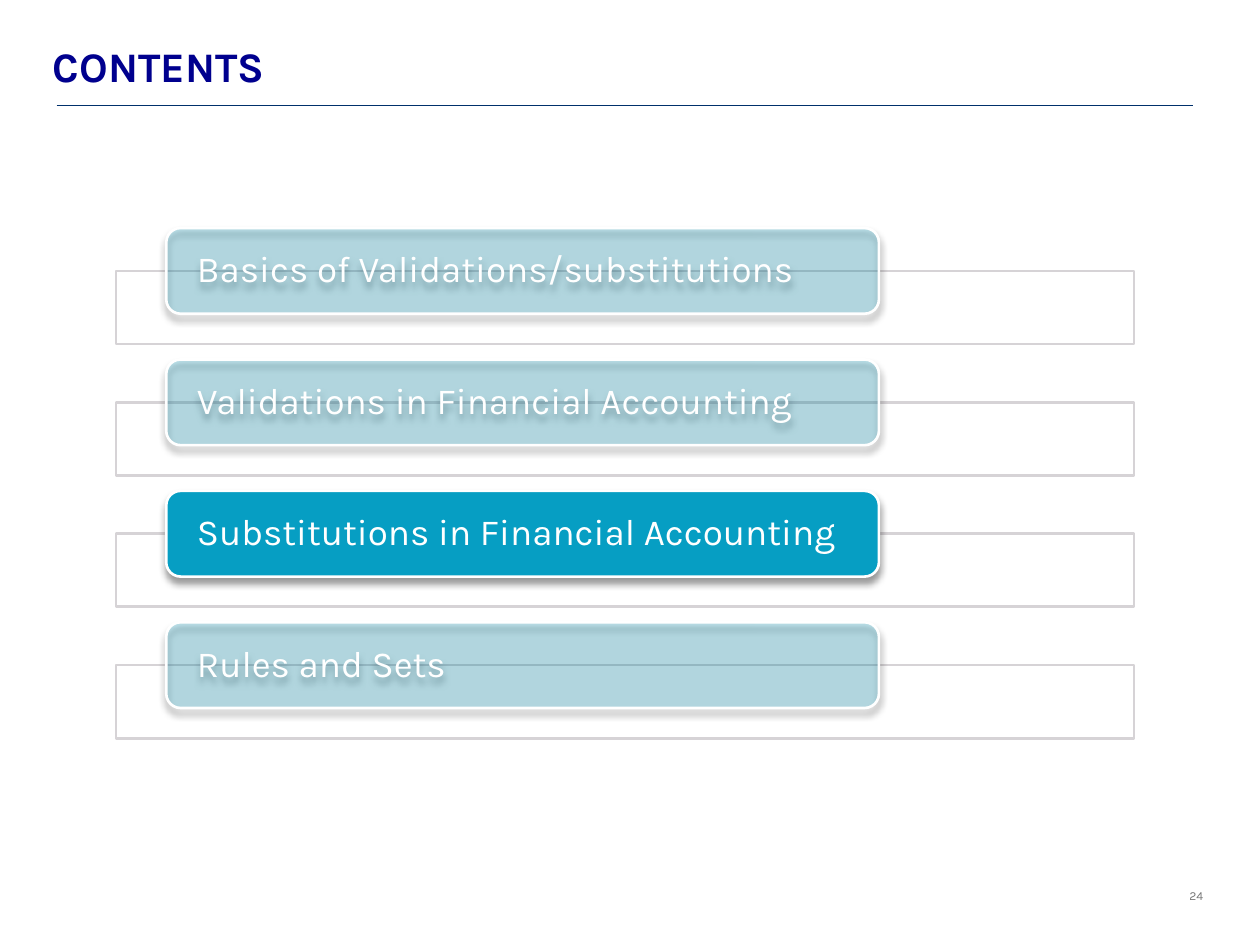
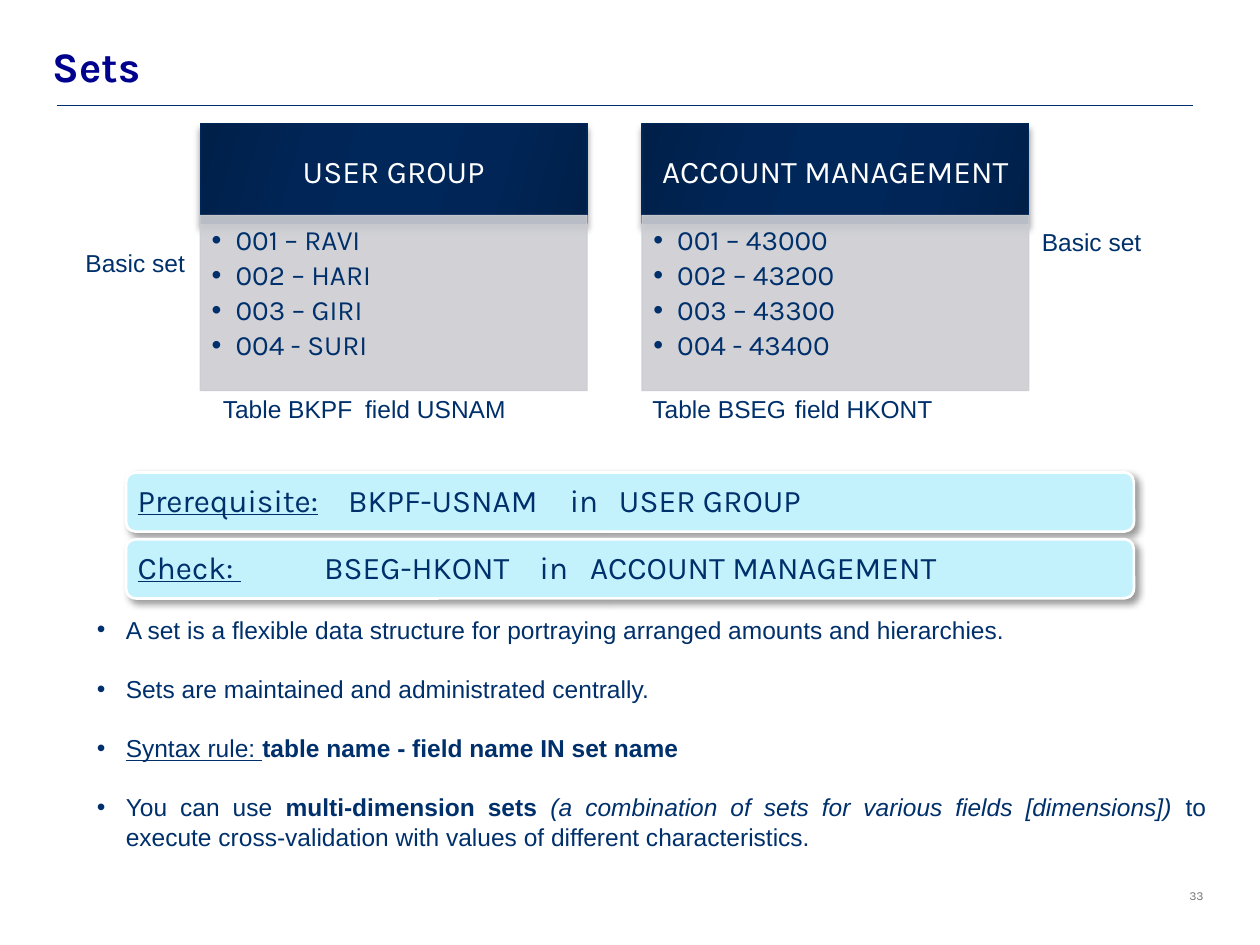
"""Build the contents slide and the sets slide of a financial accounting course."""
from lxml.etree import SubElement
from pptx import Presentation
from pptx.dml.color import RGBColor
from pptx.enum.shapes import MSO_CONNECTOR, MSO_SHAPE
from pptx.enum.text import MSO_ANCHOR, PP_ALIGN
from pptx.oxml.ns import qn
from pptx.util import Inches, Pt

CHAPTERS = ["Basics of Validations/substitutions", "Validations in Financial Accounting",
            "Substitutions in Financial Accounting", "Rules and Sets"]
CURRENT_CHAPTER = 2
SETS = [
    {"name": "USER GROUP", "values": ["001 – RAVI", "002 – HARI", "003 – GIRI", "004 - SURI"],
     "source": "Table BKPF\tfield USNAM", "source_at": 1.67, "tag_at": (0.58, 1.92)},
    {"name": "ACCOUNT MANAGEMENT",
     "values": ["001 – 43000", "002 – 43200", "003 – 43300", "004 - 43400"],
     "source": "Table BSEG\tfield HKONT", "source_at": 5.08, "tag_at": (8.17, 1.75)},
]
SET_TAG = "Basic set"
UNDERLINED, BOLD, ITALIC = {"underline": True}, {"bold": True}, {"italic": True}
RULES = [
    ([("Prerequisite:", UNDERLINED), ("\tBKPF-USNAM\tin\tUSER GROUP", {})], (1.67, 3.43, 3.82)),
    ([("Check: ", UNDERLINED), ("\tBSEG-HKONT\tin\tACCOUNT MANAGEMENT", {})], (1.48, 3.19, 3.59)),
]
NOTES = [
    [("A set is a flexible data structure for portraying arranged amounts and hierarchies.", {})],
    [("Sets are maintained and administrated centrally.", {})],
    [("Syntax rule: ", UNDERLINED), ("table name - field name IN set name", BOLD)],
    [("You can use ", {}), ("multi-dimension sets ", BOLD),
     ("(a combination of sets for various fields [dimensions]) ", ITALIC),
     ("to execute cross-validation with values of different characteristics.", {})],
]

WHITE = RGBColor(0xFF, 0xFF, 0xFF)
BLACK = RGBColor(0, 0, 0)
TITLE_BLUE = RGBColor(0x00, 0x00, 0x8E)
NAVY = RGBColor(0x00, 0x30, 0x6B)
HEADER_NAVY = RGBColor(0x00, 0x27, 0x5A)
HEADER_MID = RGBColor(0x00, 0x25, 0x56)
HEADER_DARK = RGBColor(0x00, 0x20, 0x4A)
TEAL = RGBColor(0x06, 0x9E, 0xC3)
PALE_CYAN = RGBColor(0xC3, 0xF2, 0xFD)
FRAME_GREY = RGBColor(0xD6, 0xD3, 0xD6)
PANEL_GREY = RGBColor(0xCC, 0xCD, 0xD2)
NUMBER_GREY = RGBColor(0x77, 0x77, 0x77)
HEADER_STOPS = [(0, HEADER_DARK), (30, HEADER_MID), (45, HEADER_NAVY),
                (55, HEADER_NAVY), (73, HEADER_MID), (100, HEADER_DARK)]

WIDTH, HEIGHT = 10, 7.5
DEFAULT_INSETS = (0.1, 0.05, 0.1, 0.05)
TITLE = {"name": "Karla", "size": 24, "color": TITLE_BLUE, "bold": True}
NUMBER = {"name": "Karla", "size": 7, "color": NUMBER_GREY}
CHAPTER = {"name": "Karla", "size": 21, "color": WHITE}
SET_NAME = {"name": "Karla", "size": 18, "color": WHITE}
SET_VALUE = {"name": "Karla", "size": 16, "color": NAVY}
RULE = {"name": "Karla", "size": 18, "color": NAVY}
BODY = {"name": "Arial", "size": 14, "color": NAVY}


def add_color(parent, color, opacity=100):
    """Append a colour element with an opacity in percent."""
    node = SubElement(parent, qn("a:srgbClr"), val=str(color))
    if opacity < 100:
        SubElement(node, qn("a:alpha"), val=str(opacity * 1000))


def set_opacity(fill_parent, color, opacity):
    """Make a solid fill partly transparent."""
    solid = fill_parent.find(qn("a:solidFill"))
    solid.clear()
    add_color(solid, color, opacity)


def format_paragraph(paragraph, bullet_indent=0, tabs=(), **layout):
    """Give a paragraph its bullet, tab stops and layout values."""
    properties = paragraph._p.get_or_add_pPr()
    if bullet_indent:
        properties.set("marL", str(Inches(bullet_indent)))
        properties.set("indent", str(-Inches(bullet_indent)))
        SubElement(properties, qn("a:buFont"), typeface="Arial")
        SubElement(properties, qn("a:buChar"), char="•")
    if tabs:
        stops = SubElement(properties, qn("a:tabLst"))
        for position in tabs:
            SubElement(stops, qn("a:tab"), pos=str(Inches(position)), algn="l")
    for attribute, value in layout.items():
        setattr(paragraph, attribute, value)


def write(holder, paragraphs, style, insets=DEFAULT_INSETS, anchor=MSO_ANCHOR.TOP,
          gap_before=0, **layout):
    """Fill a shape or text box with paragraphs of (text, style changes) runs."""
    frame = holder.text_frame
    frame.word_wrap, frame.vertical_anchor = True, anchor
    for side, inset in zip(("left", "top", "right", "bottom"), insets):
        setattr(frame, f"margin_{side}", Inches(inset))
    for index, runs in enumerate(paragraphs):
        paragraph = frame.add_paragraph() if index else frame.paragraphs[0]
        format_paragraph(paragraph, **{"alignment": PP_ALIGN.LEFT, **layout})
        if index and gap_before:
            paragraph.space_before = Pt(gap_before)
        for text, changes in runs:
            run = paragraph.add_run()
            run.text = text
            for attribute, value in {**style, **changes}.items():
                if attribute == "color":
                    run.font.color.rgb = value
                else:
                    setattr(run.font, attribute, Pt(value) if attribute == "size" else value)


def add_text(slide, box, text, style, **options):
    """Add a text box with one paragraph, or with a list of paragraphs."""
    holder = slide.shapes.add_textbox(*map(Inches, box))
    write(holder, [[(text, {})]] if isinstance(text, str) else text, style, **options)


def add_box(slide, kind, box, fill, line, line_width, opacity=100, line_opacity=100,
            shadow_angle=None, shadow_distance=3):
    """Add a filled and outlined shape, with a soft shadow if it has an angle."""
    shape = slide.shapes.add_shape(kind, *map(Inches, box))
    shape.fill.solid()
    shape.fill.fore_color.rgb = fill
    shape.line.color.rgb = line
    shape.line.width = Pt(line_width)
    shape.shadow.inherit = False
    properties = shape._element.spPr
    set_opacity(properties, fill, opacity)
    set_opacity(properties.find(qn("a:ln")), line, line_opacity)
    if shadow_angle is not None:
        shadow = SubElement(properties.find(qn("a:effectLst")), qn("a:outerShdw"),
                            blurRad=str(Pt(4)), dist=str(Pt(shadow_distance)),
                            dir=str(shadow_angle * 60000), rotWithShape="0")
        add_color(shadow, BLACK, 40)
    return shape


def apply_gradient(shape, stops, angle):
    """Swap the solid fill of a shape for a linear gradient."""
    solid = shape._element.spPr.find(qn("a:solidFill"))
    gradient = solid.makeelement(qn("a:gradFill"), {"rotWithShape": "1"})
    stop_list = SubElement(gradient, qn("a:gsLst"))
    for position, color in stops:
        add_color(SubElement(stop_list, qn("a:gs"), pos=str(position * 1000)), color)
    SubElement(gradient, qn("a:lin"), ang=str(angle * 60000), scaled="0")
    solid.getparent().replace(solid, gradient)


def add_base(deck, title, number):
    """Add a slide with the shared title, rule and page number."""
    slide = deck.slides.add_slide(deck.slide_layouts[6])
    add_text(slide, (9.34, 7, 0.52, 0.22), number, NUMBER)
    rule = slide.shapes.add_connector(MSO_CONNECTOR.STRAIGHT, *map(Inches, (0.45, 0.84, 9.47, 0.84)))
    rule.line.color.rgb = NAVY
    rule.line.width = Pt(0.75)
    SubElement(rule._element.spPr, qn("a:effectLst"))
    add_text(slide, (0.22, 0.25, 9.16, 0.6), title, TITLE, insets=(0.2, 0.04, 0.12, 0.04),
             anchor=MSO_ANCHOR.MIDDLE, line_spacing=0.9)
    return slide


def build_contents(deck):
    """List the chapters and highlight the current one."""
    slide = add_base(deck, "CONTENTS", "24")
    first_top, pitch, frame_drop = 1.81, 1.043, 0.34
    frame_width = WIDTH * 0.808
    for row, chapter in enumerate(CHAPTERS):
        top = first_top + row * pitch
        add_box(slide, MSO_SHAPE.RECTANGLE, (0.92, top + frame_drop, frame_width, 0.58),
                WHITE, FRAME_GREY, 1.5, opacity=90)
        label = add_box(slide, MSO_SHAPE.ROUNDED_RECTANGLE,
                        (1.32, top, frame_width * 0.7, 0.68), TEAL, WHITE, 1.5,
                        opacity=100 if row == CURRENT_CHAPTER else 24, shadow_angle=90)
        write(label, [[(chapter, {})]], CHAPTER, insets=(0.21, 0, 0.21, 0),
              anchor=MSO_ANCHOR.MIDDLE, line_spacing=0.9)


def build_sets(deck):
    """Show two basic sets, the rules that use them and notes on sets."""
    slide = add_base(deck, "Sets", "33")
    first_left, column_pitch, column_width = 1.59, 3.505, 3.07
    for column, basic_set in enumerate(SETS):
        left = first_left + column * column_pitch
        header = add_box(slide, MSO_SHAPE.RECTANGLE, (left, 0.98, column_width, 0.79),
                         HEADER_NAVY, HEADER_NAVY, 0.75, shadow_angle=90, shadow_distance=3.4)
        apply_gradient(header, HEADER_STOPS, 16)
        write(header, [[(basic_set["name"], {})]], SET_NAME, insets=(0.14, 0.08, 0.14, 0.08),
              anchor=MSO_ANCHOR.MIDDLE, alignment=PP_ALIGN.CENTER, line_spacing=0.9)
        panel = add_box(slide, MSO_SHAPE.RECTANGLE, (left, 1.71, column_width, 1.39),
                        PANEL_GREY, PANEL_GREY, 0.75, opacity=90, line_opacity=90)
        write(panel, [[(value, {})] for value in basic_set["values"]], SET_VALUE,
              insets=(0.09, 0.09, 0.12, 0.14), bullet_indent=0.19, line_spacing=0.9,
              space_after=Pt(2.6))
        add_text(slide, (basic_set["source_at"], 3.08, 2.6, 0.34), basic_set["source"], BODY,
                 tabs=[1.13])
        add_text(slide, (*basic_set["tag_at"], 1.1, 0.34), SET_TAG, BODY)

    for row, (runs, tabs) in enumerate(RULES):
        band = add_box(slide, MSO_SHAPE.ROUNDED_RECTANGLE,
                       (WIDTH * 0.1, HEIGHT / 2 + row * 0.53, WIDTH * 0.8, 0.47),
                       PALE_CYAN, WHITE, 1.5, shadow_angle=45)
        write(band, [runs], RULE, insets=(0.07,) * 4, anchor=MSO_ANCHOR.MIDDLE,
              tabs=tabs, line_spacing=0.9)
    add_text(slide, (0.67, 4.83, WIDTH * 0.9, 1.99), NOTES, BODY, gap_before=17,
             bullet_indent=0.23, alignment=PP_ALIGN.JUSTIFY)


def main():
    """Build and save the deck."""
    deck = Presentation()
    deck.slide_width, deck.slide_height = Inches(WIDTH), Inches(HEIGHT)
    build_contents(deck)
    build_sets(deck)
    deck.save("out.pptx")


if __name__ == "__main__":
    main()
